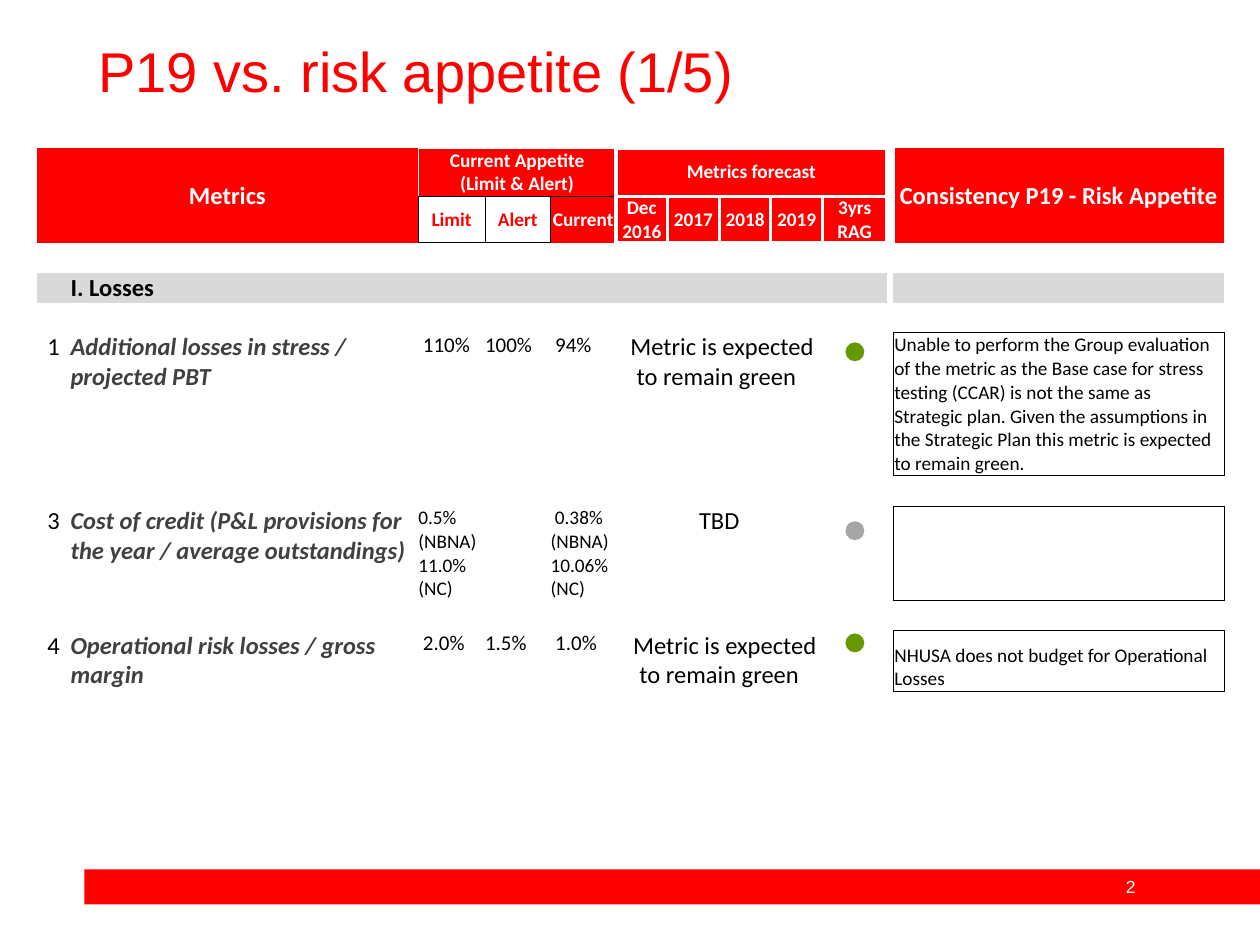
from itertools import accumulate

from lxml.etree import SubElement
from pptx import Presentation
from pptx.dml.color import RGBColor
from pptx.enum.shapes import MSO_SHAPE
from pptx.enum.text import MSO_ANCHOR, MSO_AUTO_SIZE, PP_ALIGN
from pptx.oxml.ns import qn
from pptx.util import Inches, Pt

RED = RGBColor(0xFF, 0x00, 0x00)
WHITE = RGBColor(0xFF, 0xFF, 0xFF)
BLACK = RGBColor(0x00, 0x00, 0x00)
DARK = RGBColor(0x40, 0x40, 0x40)
PALE = RGBColor(0xD9, 0xD9, 0xD9)
GREEN = RGBColor(0x66, 0x99, 0x00)
GREY = RGBColor(0xA6, 0xA6, 0xA6)

WIDE, HIGH = 10, 7.5
COLS = [0.27, 2.76, 0.53, 0.52, 0.52, 0.41, 0.41, 0.41, 0.41, 0.51, 0.05, 2.63]
ROWS = [0.38, 0.37, 0.24, 0.24, 0.23, 1.14, 0.24, 0.75, 0.24, 0.48, 0.16]
BAND = 3
RAG, GAP, NOTE = 9, 10, 11
DOT = 0.15
NO_GRID = "{2D5ABB26-0587-4C30-8999-92F81FD0307C}"

HEADS = [
    (0, 0, 2, 2, "Metrics", 14),
    (0, 2, 1, 3, "Current Appetite\n(Limit & Alert)", 11),
    (0, 5, 1, 5, "Metrics forecast", 11),
    (0, NOTE, 2, 1, "Consistency P19 - Risk Appetite", 14),
]
SUBS = ["Limit", "Alert", "Current", "Dec 2016", "2017", "2018", "2019", "3yrs RAG"]

METRICS = [
    (5, "1", "Additional losses in stress / projected PBT",
     [" 110%", "100%", " 94%"], 12, " Metric is expected to remain green ",
     "Unable to perform the Group evaluation of the metric as the Base case "
     "for stress testing (CCAR) is not the same as Strategic plan. Given the "
     "assumptions in the Strategic Plan this metric is expected to remain green.",
     GREEN, 0.08),
    (7, "3", "Cost of credit (P&L provisions for the year / average outstandings)",
     ["0.5% (NBNA)\n11.0% (NC)", "", " 0.38% (NBNA)\n10.06% (NC)"], 11, "TBD",
     "", GREY, 0.12),
    (9, "4", "Operational risk losses / gross margin",
     [" 2.0%", "1.5%", " 1.0%"], 12, "  Metric is expected to remain green",
     "NHUSA does not budget for Operational Losses", GREEN, 0.02),
]


def style(run, size, color, bold=False, italic=False, face="Calibri"):
    font = run.font
    font.name, font.size = face, Pt(size)
    font.bold, font.italic = bold, italic
    font.color.rgb = color


def put(cell, text, size, color=BLACK, bold=False, italic=False,
        align=PP_ALIGN.LEFT, anchor=MSO_ANCHOR.TOP):
    cell.vertical_anchor = anchor
    frame = cell.text_frame
    for num, line in enumerate(text.split("\n")):
        para = frame.add_paragraph() if num else frame.paragraphs[0]
        para.alignment = align
        run = para.add_run()
        run.text = line
        style(run, size, color, bold, italic)


def edge(cell, sides, color, width):
    props = cell._tc.get_or_add_tcPr()
    for side in "LRTB":
        if side in sides:
            line = SubElement(props, qn("a:ln" + side), w=str(Pt(width)))
            solid = SubElement(line, qn("a:solidFill"))
            SubElement(solid, qn("a:srgbClr"), val=str(color))


def paint(cell, color):
    cell.fill.solid()
    cell.fill.fore_color.rgb = color


def solid(slide, kind, box, color):
    shape = slide.shapes.add_shape(kind, *map(Inches, box))
    shape.shadow.inherit = False
    shape.fill.solid()
    shape.fill.fore_color.rgb = color
    shape.line.fill.background()
    return shape


def title(slide, box):
    head = slide.shapes.title
    head.left, head.top, head.width, head.height = map(Inches, box)
    frame = head.text_frame
    frame.auto_size = MSO_AUTO_SIZE.NONE
    frame.vertical_anchor = MSO_ANCHOR.MIDDLE
    para = frame.paragraphs[0]
    para.alignment = PP_ALIGN.LEFT
    para.line_spacing = 0.9
    run = para.add_run()
    run.text = "P19 vs. risk appetite (1/5)"
    style(run, 32, RED, face="Arial")


def footer(slide, box):
    left, top, width, height = box
    solid(slide, MSO_SHAPE.RECTANGLE, box, RED)
    spot = (left + 0.86 * width, top, 0.06 * width, height)
    label = slide.shapes.add_textbox(*map(Inches, spot))
    label.text_frame.word_wrap = True
    label.text_frame.vertical_anchor = MSO_ANCHOR.MIDDLE
    para = label.text_frame.paragraphs[0]
    para.alignment = PP_ALIGN.CENTER
    run = para.add_run()
    run.text = "2"
    style(run, 10, WHITE, face="Arial")


def header(table):
    mid = dict(bold=True, align=PP_ALIGN.CENTER, anchor=MSO_ANCHOR.MIDDLE)
    for row, col, down, over, text, size in HEADS:
        cell = table.cell(row, col)
        cell.merge(table.cell(row + down - 1, col + over - 1))
        put(cell, text, size, WHITE, **mid)
        paint(cell, RED)
    for col, text in enumerate(SUBS, 2):
        cell = table.cell(1, col)
        boxed = col < 4
        put(cell, text, 11, RED if boxed else WHITE, **mid)
        paint(cell, WHITE if boxed else RED)


def rules(table):
    edge(table.cell(0, 0), "R", WHITE, 0.5)
    edge(table.cell(0, 2), "LRT", WHITE, 0.5)
    for col in range(5, GAP):
        edge(table.cell(0, col), "LRTB" if col == 5 else "RTB", WHITE, 2)
        edge(table.cell(1, col), "LRT", WHITE, 2)
    for col in (2, 3):
        edge(table.cell(1, col), "LRTB", BLACK, 0.5)
    for row in (0, 1):
        edge(table.cell(row, GAP), "L", WHITE, 2)
    for metric in METRICS:
        edge(table.cell(metric[0], NOTE), "LRTB", BLACK, 0.5)


def metric(table, row, num, name, values, size, view, note):
    put(table.cell(row, 0), num, 14, align=PP_ALIGN.CENTER)
    put(table.cell(row, 1), name, 14, DARK, True, True)
    for col, text in enumerate(values, 2):
        if text:
            put(table.cell(row, col), text, size)
    cell = table.cell(row, 5)
    cell.merge(table.cell(row, RAG - 1))
    put(cell, view, 14, align=PP_ALIGN.CENTER)
    if note:
        cell = table.cell(row, NOTE)
        cell.margin_left = cell.margin_right = cell.margin_top = Inches(0.01)
        put(cell, note, 11, anchor=MSO_ANCHOR.BOTTOM)


def grid(slide, left, top):
    box = (left, top, sum(COLS), sum(ROWS))
    frame = slide.shapes.add_table(len(ROWS), len(COLS), *map(Inches, box))
    table = frame.table
    table.first_row = table.horz_banding = False
    next(frame.element.iter(qn("a:tableStyleId"))).text = NO_GRID
    for col, width in zip(table.columns, COLS):
        col.width = Inches(width)
    for row, height in zip(table.rows, ROWS):
        row.height = Inches(height)
    rules(table)
    for row in range(len(ROWS)):
        for col in range(len(COLS)):
            cell = table.cell(row, col)
            cell.margin_left = cell.margin_right = 0
            cell.margin_top = cell.margin_bottom = 0
            paint(cell, PALE if row == BAND and col != GAP else WHITE)
    header(table)
    put(table.cell(BAND, 1), "I. Losses", 14, bold=True)
    tops = list(accumulate(ROWS, initial=top))
    spot = left + sum(COLS[:RAG]) + (COLS[RAG] - DOT) / 2
    for row, *parts, color, drop in METRICS:
        metric(table, row, *parts)
        solid(slide, MSO_SHAPE.OVAL, (spot, tops[row] + drop, DOT, DOT), color)
    for cell in table.iter_cells():
        if not cell.text_frame.text:
            SubElement(cell.text_frame.paragraphs[0]._p, qn("a:endParaRPr"), sz="800")


def main():
    deck = Presentation()
    deck.slide_width, deck.slide_height = Inches(WIDE), Inches(HIGH)
    slide = deck.slides.add_slide(deck.slide_layouts[5])
    footer(slide, (0.067 * WIDE, 0.92 * HIGH, 0.933 * WIDE, 0.037 * HIGH))
    title(slide, (0.068 * WIDE, 0.041 * HIGH, 0.862 * WIDE, 0.076 * HIGH))
    grid(slide, 0.029 * WIDE, 0.157 * HIGH)
    deck.save("out.pptx")


if __name__ == "__main__":
    main()
